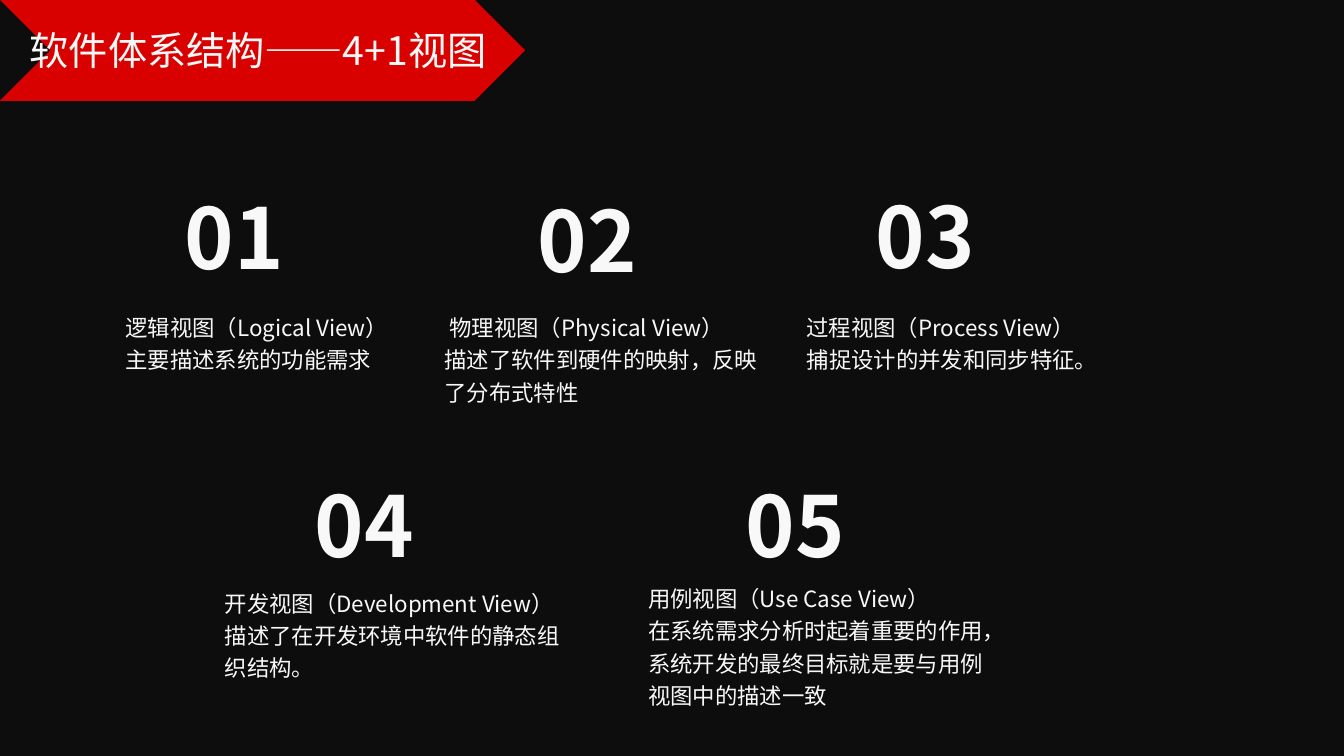
from dataclasses import dataclass

from lxml.etree import SubElement
from pptx import Presentation
from pptx.dml.color import RGBColor
from pptx.enum.shapes import MSO_SHAPE
from pptx.enum.text import MSO_ANCHOR, PP_ALIGN
from pptx.oxml.ns import qn
from pptx.util import Inches, Pt


@dataclass(frozen=True)
class Theme:
    """Colours, font and type sizes of the deck."""
    back: str = "0D0D0D"
    accent: str = "D80100"
    ink: str = "F8F8F8"
    font: str = "Noto Sans CJK SC"
    title: int = 28
    number: int = 60
    body: int = 16


def write(frame, text, theme, size, bold=False, align=PP_ALIGN.LEFT, lead=1.0, inset=(0.1, 0.05)):
    """Fill a text frame, one paragraph per line of text."""
    frame.word_wrap = True
    frame.vertical_anchor = MSO_ANCHOR.TOP
    frame.margin_left = frame.margin_right = Inches(inset[0])
    frame.margin_top = frame.margin_bottom = Inches(inset[1])
    for i, line in enumerate(text.split("\n")):
        para = frame.paragraphs[0] if i == 0 else frame.add_paragraph()
        para.alignment, para.line_spacing = align, lead
        run = para.add_run()
        run.text = line
        font = run.font
        font.size, font.bold, font.name = Pt(size), bold, theme.font
        font.color.rgb = RGBColor.from_string(theme.ink)
        SubElement(font._element, qn("a:ea")).set("typeface", theme.font)


class Page:
    """A slide on a grid of 80 columns and 45 rows, with its style."""

    def __init__(self, deck, theme):
        """Add a title-only slide with a plain background."""
        self.theme = theme
        self.cell = deck.slide_width / 80, deck.slide_height / 45
        self.slide = deck.slides.add_slide(deck.slide_layouts[5])
        self.paint(self.slide.background.fill, theme.ink)

    def box(self, x, y, w, h):
        """Turn columns and rows into lengths."""
        col, row = self.cell
        return round(x * col), round(y * row), round(w * col), round(h * row)

    def paint(self, fill, colour):
        """Make a fill solid."""
        fill.solid()
        fill.fore_color.rgb = RGBColor.from_string(colour)

    def block(self, kind, colour, *area):
        """Draw a plain shape without outline."""
        shape = self.slide.shapes.add_shape(kind, *self.box(*area))
        shape.shadow.inherit = False
        self.paint(shape.fill, colour)
        shape.line.fill.background()

    def title(self, text, *area):
        """Place the title in front of the banner."""
        title = self.slide.shapes.title
        title.left, title.top, title.width, title.height = self.box(*area)
        title.element.getparent().append(title.element)
        write(title.text_frame, text, self.theme, self.theme.title)

    def label(self, text, area, **style):
        """Add a text box."""
        shape = self.slide.shapes.add_textbox(*self.box(*area))
        write(shape.text_frame, text, self.theme, **style)

    def view(self, number, text, head, area, align=PP_ALIGN.LEFT):
        """Add a numbered view with its description."""
        self.label(number, (*head, 6.66), size=self.theme.number, bold=True)
        self.label(text, area, size=self.theme.body, align=align, lead=1.2, inset=(0, 0))


VIEWS = [
    ("逻辑视图（Logical View）\n主要描述系统的功能需求",
     (10.41, 10.77, 8.9), (7.47, 18.39, 24.36, 3.9), PP_ALIGN.LEFT),
    (" 物理视图（Physical View）\n描述了软件到硬件的映射，反映了分布式特性",
     (31.41, 10.92, 8.9), (26.46, 18.39, 18.84, 5.82), PP_ALIGN.LEFT),
    ("过程视图（Process View）捕捉设计的并发和同步特征。",
     (51.54, 10.68, 8.9), (47.46, 18.36, 17.1, 3.9), PP_ALIGN.CENTER),
    ("开发视图（Development View）描述了在开发环境中软件的静态组织结构。",
     (18.15, 27.87, 7.4), (13.38, 34.8, 20.58, 5.82), PP_ALIGN.LEFT),
    ("用例视图（Use Case View）\n在系统需求分析时起着重要的作用，系统开发的最终目标就是要与用例视图中的描述一致",
     (43.8, 27.87, 7.4), (38.58, 34.52, 20.58, 7.74), PP_ALIGN.LEFT),
]


def main():
    """Build and save the deck."""
    deck = Presentation()
    deck.slide_width, deck.slide_height = Inches(13.33), Inches(7.5)
    theme = Theme()
    page = Page(deck, theme)
    page.block(MSO_SHAPE.RECTANGLE, theme.back, 0, 0, 80, 45)
    page.block(MSO_SHAPE.CHEVRON, theme.accent, 0, 0, 31.26, 6)
    page.title("软件体系结构——4+1视图", 1.17, 1.26, 31.5, 3.42)
    for i, (text, head, area, align) in enumerate(VIEWS, 1):
        page.view(f"{i:02}", text, head, area, align)
    deck.save("out.pptx")


if __name__ == "__main__":
    main()
